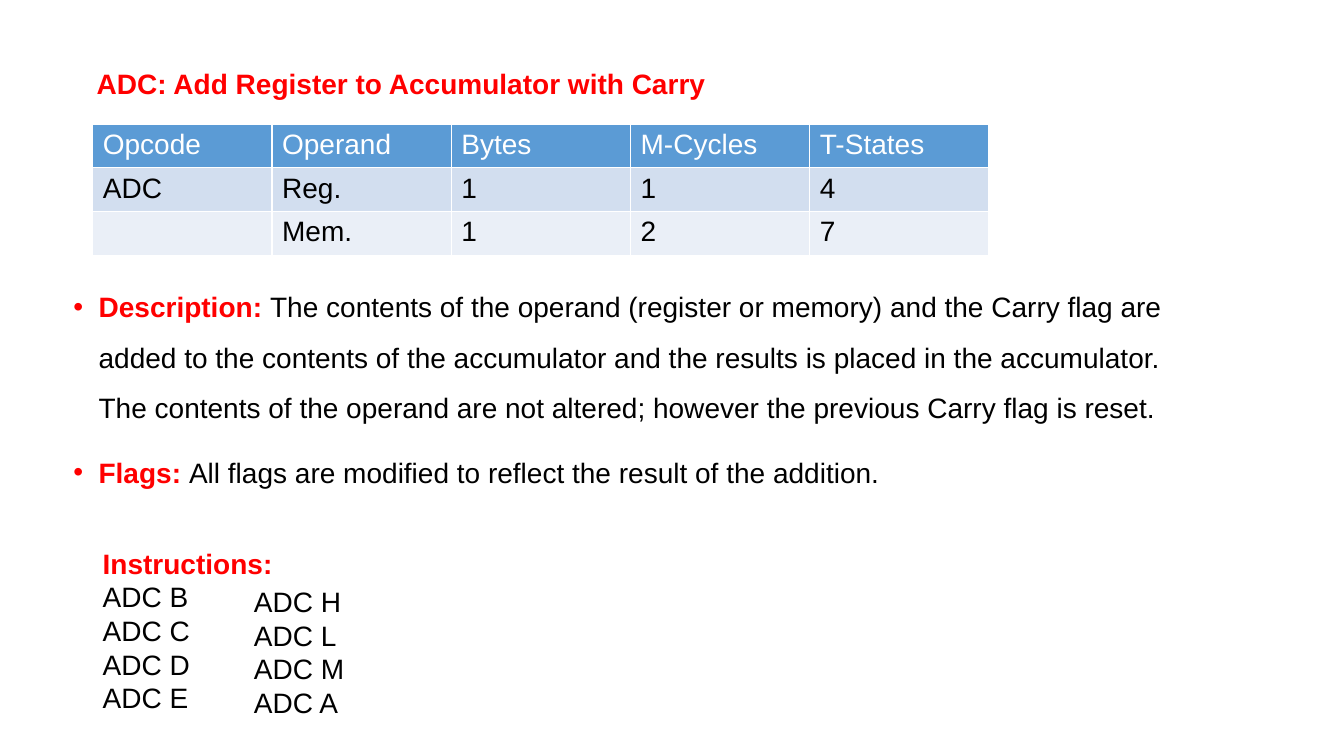
import dataclasses
import pptx
import pptx.dml.color
import pptx.enum.text
import pptx.oxml.xmlchemy
import pptx.util
import lxml.etree

Inches = pptx.util.Inches
Pt = pptx.util.Pt
RED, BLACK, WHITE = "FF0000", "000000", "FFFFFF"


@dataclasses.dataclass
class Line:
    head: str = ""
    body: str = ""
    bullet: bool = False


@dataclasses.dataclass
class Block:
    left: float
    top: float
    width: float
    height: float
    lines: list[Line]
    wrap: bool = True
    grow: bool = True


def color(code: str) -> pptx.dml.color.RGBColor:
    return pptx.dml.color.RGBColor.from_string(code)


def style(font, code: str, bold: bool = False) -> None:
    font.name = "Arial"
    font.size = Pt(20)
    font.bold = bold
    font.color.rgb = color(code)


def add_bullet(para) -> None:
    para.line_spacing = 1.5
    para.space_before = Pt(10)
    props = para._p.get_or_add_pPr()
    props.set("marL", str(Inches(0.25)))
    props.set("indent", str(Inches(-0.25)))
    space = "{" + props.nsmap["a"] + "}"
    face = lxml.etree.SubElement(props, space + "buFont")
    face.set("typeface", "Arial")
    mark = lxml.etree.SubElement(props, space + "buChar")
    mark.set("char", "•")


def add_block(slide, block: Block) -> None:
    box = slide.shapes.add_textbox(
        Inches(block.left), Inches(block.top), Inches(block.width), Inches(block.height)
    )
    frame = box.text_frame
    frame.word_wrap = block.wrap
    sizes = pptx.enum.text.MSO_AUTO_SIZE
    frame.auto_size = sizes.SHAPE_TO_FIT_TEXT if block.grow else sizes.NONE
    for index, line in enumerate(block.lines):
        para = frame.add_paragraph() if index else frame.paragraphs[0]
        if line.bullet:
            add_bullet(para)
        for text, code, bold in ((line.head, RED, True), (line.body, BLACK, False)):
            if text:
                run = para.add_run()
                run.text = text
                style(run.font, code, bold)


def add_grid(slide, rows: list[list[str]], fills: list[str]) -> None:
    shape = slide.shapes.add_table(
        len(rows), len(rows[0]), Inches(0.92), Inches(1.23), Inches(8.89), Inches(1.3)
    )
    for row, (texts, fill) in enumerate(zip(rows, fills)):
        for col, text in enumerate(texts):
            cell = shape.table.cell(row, col)
            cell.text = text
            cell.fill.solid()
            cell.fill.fore_color.rgb = color(fill)
            style(cell.text_frame.paragraphs[0].font, BLACK if row else WHITE)
            for run in cell.text_frame.paragraphs[0].runs:
                style(run.font, BLACK if row else WHITE)


def codes(names: str) -> list[Line]:
    return [Line(body=f"ADC {name}") for name in names]


ROWS = [
    ["Opcode", "Operand", "Bytes", "M-Cycles", "T-States"],
    ["ADC", "Reg.", "1", "1", "4"],
    ["", "Mem.", "1", "2", "7"],
]
FILLS = ["5B9BD5", "D2DEEF", "EAEFF7"]
TITLE = Block(0.86, 0.61, 8.72, 0.44, [Line("ADC: Add Register to Accumulator with Carry")])
DETAILS = Block(0.63, 2.66, 11.5, 2.91, [
    Line(
        "Description: ",
        "The contents of the operand (register or memory) and the Carry flag are "
        "added to the contents of the accumulator and the results is placed in the "
        "accumulator. The contents of the operand are not altered; however the "
        "previous Carry flag is reset.",
        True,
    ),
    Line("Flags: ", "All flags are modified to reflect the result of the addition.", True),
], grow=False)
FIRST = Block(0.92, 5.37, 1.9, 2.12, [Line("Instructions:"), *codes("BCDE")], wrap=False)
SECOND = Block(2.42, 5.75, 1.62, 1.45, codes("HLMA"))

deck = pptx.Presentation()
deck.slide_width = Inches(13.33)
deck.slide_height = Inches(7.5)
slide = deck.slides.add_slide(deck.slide_layouts[6])
add_block(slide, FIRST)
add_block(slide, TITLE)
add_grid(slide, ROWS, FILLS)
add_block(slide, DETAILS)
add_block(slide, SECOND)
deck.save("out.pptx")
